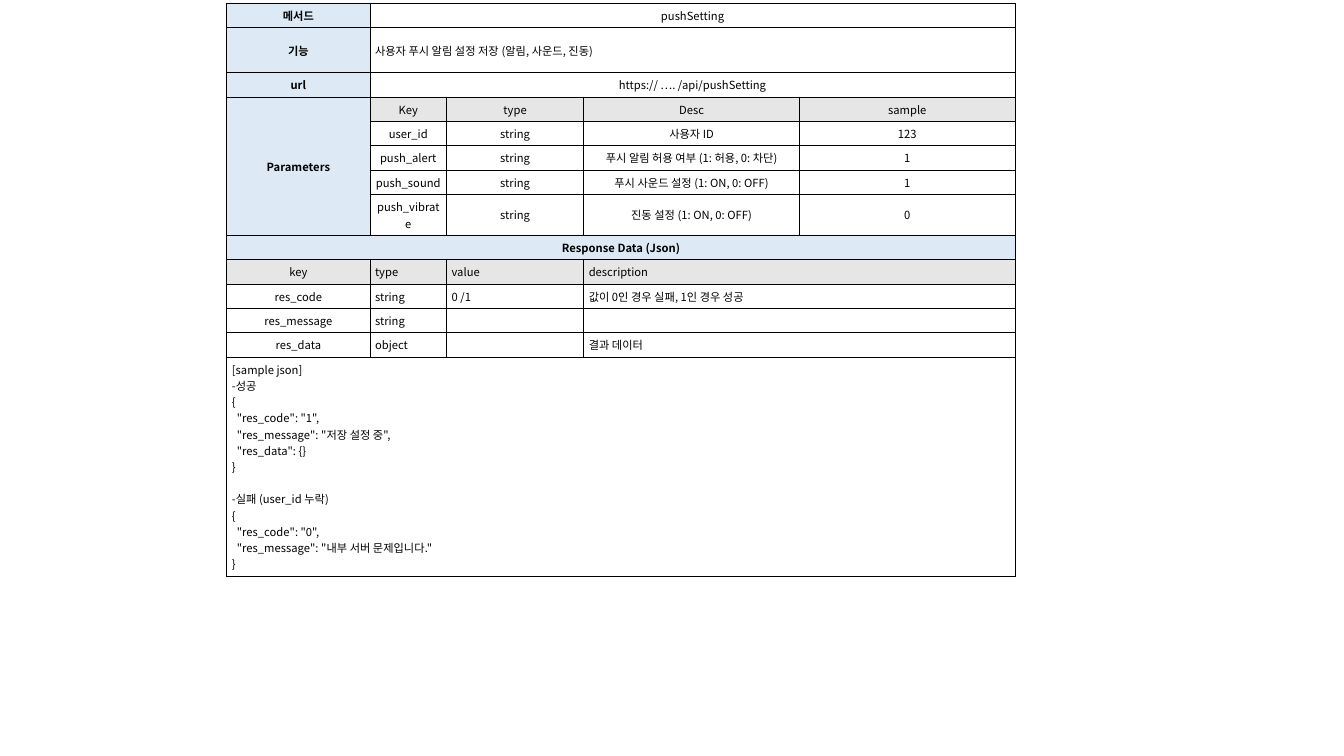
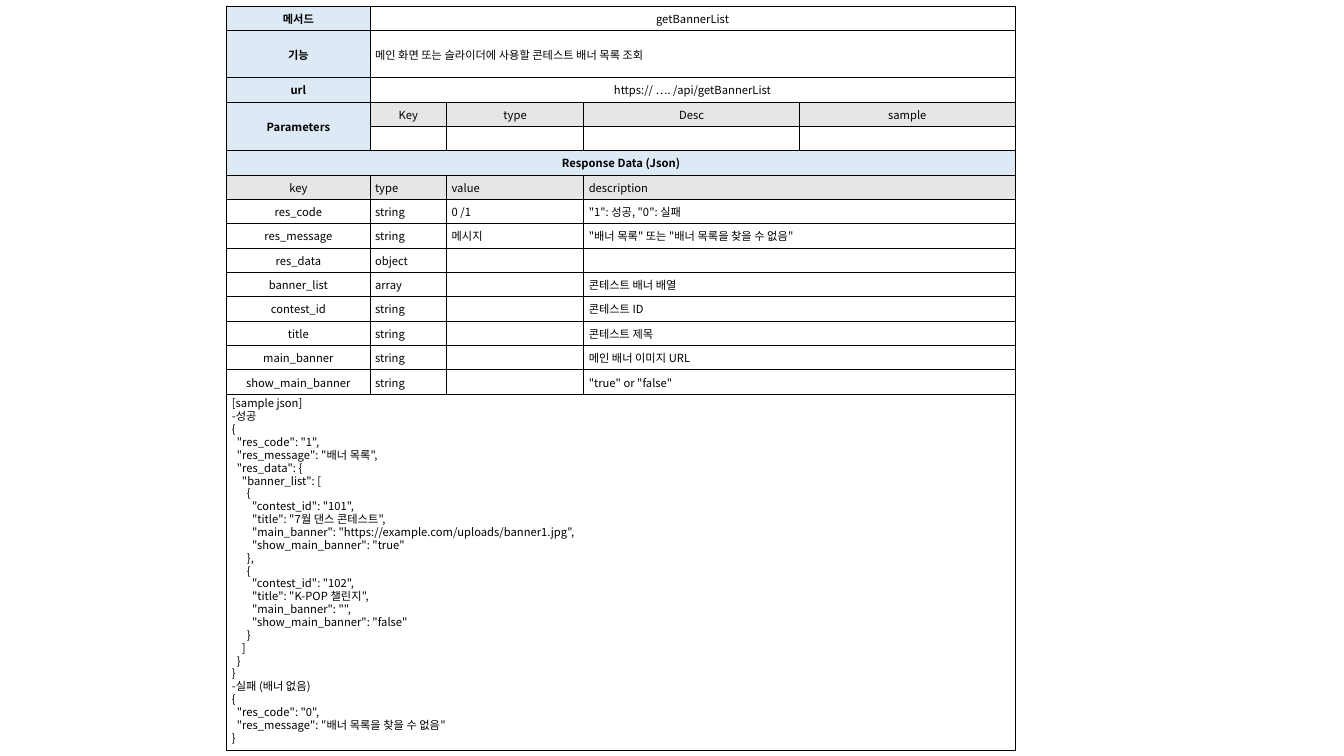
from lxml.etree import SubElement
from pptx import Presentation
from pptx.dml.color import RGBColor
from pptx.enum.text import MSO_ANCHOR as Anchor, PP_ALIGN as Align
from pptx.oxml import parse_xml
from pptx.oxml.ns import nsdecls, qn
from pptx.util import Inches, Pt

# Shared style
BLACK = RGBColor(0x00, 0x00, 0x00)
WHITE = RGBColor(0xFF, 0xFF, 0xFF)
LABEL_BLUE = RGBColor(0xDD, 0xEA, 0xF6)
HEADING_GRAY = RGBColor(0xE7, 0xE6, 0xE6)
FONT = "Noto Sans CJK KR"
FONT_SIZE = Pt(8)
BORDER = Pt(0.75)
NORMAL_PITCH = Pt(11.6)
TIGHT_PITCH = Pt(9.2)

# Grid, in inches
SHEET_LEFT = 2.25
COLUMNS = (1.42, 0.76, 1.36, 2.14, 2.14)
ROW = 0.24
SIDE_INSET, END_INSET = 0.05, 0.04


class ApiDeck:
    """Builds one API description sheet per slide."""

    def __init__(self):
        self.deck = Presentation()
        self.deck.slide_width, self.deck.slide_height = Inches(13.33), Inches(7.5)

    def sheet(self, top, row_heights):
        """Start a slide with an empty bordered grid."""
        slide = self.deck.slides.add_slide(self.deck.slide_layouts[6])
        frame = slide.shapes.add_table(
            len(row_heights), len(COLUMNS), Inches(SHEET_LEFT), Inches(top),
            Inches(sum(COLUMNS)), Inches(sum(row_heights)))
        self.table = frame.table
        self.table.first_row = self.table.horz_banding = False
        for column, width in zip(self.table.columns, COLUMNS):
            column.width = Inches(width)
        for row, height in zip(self.table.rows, row_heights):
            row.height = Inches(height)
        for cell in self.table.iter_cells():
            self.dress(cell)

    def dress(self, cell):
        """Give a blank cell its fill, borders, insets and text size."""
        cell.fill.solid()
        cell.fill.fore_color.rgb = WHITE
        cell.vertical_anchor = Anchor.MIDDLE
        cell.margin_left = cell.margin_right = Inches(SIDE_INSET)
        cell.margin_top = cell.margin_bottom = Inches(END_INSET)
        properties = cell._tc.get_or_add_tcPr()
        for position, side in enumerate("LRTB"):
            properties.insert(position, parse_xml(
                f'<a:ln{side} {nsdecls("a")} w="{BORDER}"><a:solidFill>'
                f'<a:srgbClr val="{BLACK}"/></a:solidFill></a:ln{side}>'))
        SubElement(cell.text_frame.paragraphs[0]._p, qn("a:endParaRPr"),
                   sz=str(int(FONT_SIZE.pt * 100)))

    def cell(self, row, column, text, fill=WHITE, bold=False,
             align=Align.CENTER, rows=1, columns=1):
        """Write a cell that spans the given rows and columns."""
        cell = self.table.cell(row, column)
        if rows * columns > 1:
            cell.merge(self.table.cell(row + rows - 1, column + columns - 1))
        cell.fill.fore_color.rgb = fill
        if text:
            cell.text_frame.text = text
        for paragraph in cell.text_frame.paragraphs:
            paragraph.alignment = align
            for run in paragraph.runs:
                font = run.font
                font.name, font.size, font.bold = FONT, FONT_SIZE, bold
                font.color.rgb = BLACK
                SubElement(run._r.get_or_add_rPr(), qn("a:ea"), typeface=FONT)
        return cell

    def label(self, row, text, **span):
        self.cell(row, 0, text, LABEL_BLUE, bold=True, **span)

    def parameter(self, row, values, fill=WHITE):
        for column, value in enumerate(values, start=1):
            self.cell(row, column, value, fill)

    def response(self, row, values, fill=WHITE):
        key, kind, value, description = values
        self.cell(row, 0, key, fill)
        self.cell(row, 1, kind, fill, align=Align.LEFT)
        self.cell(row, 2, value, fill, align=Align.LEFT)
        self.cell(row, 3, description, fill, align=Align.LEFT, columns=2)

    def sample(self, row, success, failure, pitch, gap):
        """Write the sample messages with a fixed line pitch."""
        cell = self.cell(row, 0, f"[sample json]\n{success}\n{failure}",
                         align=Align.LEFT, columns=5)
        cell.vertical_anchor = Anchor.TOP
        paragraphs = cell.text_frame.paragraphs
        for paragraph in paragraphs:
            paragraph.line_spacing = pitch
        first_failure = 1 + len(success.splitlines())
        paragraphs[first_failure].space_before = gap

    def describe(self, method, purpose, parameters, responses, success, failure,
                 top, purpose_height, pitch=NORMAL_PITCH, gap=Pt(0)):
        """Lay out a whole API sheet from its content."""
        body_rows = len(parameters) + len(responses) + 4
        sample_lines = 1 + len(success.splitlines()) + len(failure.splitlines())
        sample_height = (sample_lines * pitch + gap) / Inches(1) + 2 * END_INSET
        self.sheet(top, [ROW, purpose_height] + [ROW] * body_rows + [sample_height])

        # Method summary
        summary = (("메서드", method, Align.CENTER),
                   ("기능", purpose, Align.LEFT),
                   ("url", f"https:// …. /api/{method}", Align.CENTER))
        for row, (name, text, align) in enumerate(summary):
            self.label(row, name)
            self.cell(row, 1, text, align=align, columns=4)

        # Request parameters
        row = len(summary)
        self.label(row, "Parameters", rows=len(parameters) + 1)
        self.parameter(row, ("Key", "type", "Desc", "sample"), HEADING_GRAY)
        for row, values in enumerate(parameters, start=row + 1):
            self.parameter(row, values)

        # Response fields
        self.label(row + 1, "Response Data (Json)", columns=5)
        row += 2
        self.response(row, ("key", "type", "value", "description"), HEADING_GRAY)
        for row, values in enumerate(responses, start=row + 1):
            self.response(row, values)

        # Sample messages
        self.sample(row + 1, success, failure, pitch, gap)


PUSH_SUCCESS = """-성공
{
  "res_code": "1",
  "res_message": "저장 설정 중",
  "res_data": {}
}"""
PUSH_FAILURE = """-실패 (user_id 누락)
{
  "res_code": "0",
  "res_message": "내부 서버 문제입니다."
}"""
BANNER_SUCCESS = """-성공
{
  "res_code": "1",
  "res_message": "배너 목록",
  "res_data": {
    "banner_list": [
      {
        "contest_id": "101",
        "title": "7월 댄스 콘테스트",
        "main_banner": "https://example.com/uploads/banner1.jpg",
        "show_main_banner": "true"
      },
      {
        "contest_id": "102",
        "title": "K-POP 챌린지",
        "main_banner": "",
        "show_main_banner": "false"
      }
    ]
  }
}"""
BANNER_FAILURE = """-실패 (배너 없음)
{
  "res_code": "0",
  "res_message": "배너 목록을 찾을 수 없음"
}"""


def main():
    api = ApiDeck()

    # Push settings
    api.describe(
        "pushSetting", "사용자 푸시 알림 설정 저장 (알림, 사운드, 진동)",
        parameters=(
            ("user_id", "string", "사용자 ID", "123"),
            ("push_alert", "string", "푸시 알림 허용 여부 (1: 허용, 0: 차단)", "1"),
            ("push_sound", "string", "푸시 사운드 설정 (1: ON, 0: OFF)", "1"),
            ("push_vibrate", "string", "진동 설정 (1: ON, 0: OFF)", "0")),
        responses=(
            ("res_code", "string", "0 /1", "값이 0인 경우 실패, 1인 경우 성공"),
            ("res_message", "string", "", ""),
            ("res_data", "object", "", "결과 데이터")),
        success=PUSH_SUCCESS, failure=PUSH_FAILURE,
        top=0.03, purpose_height=0.45, gap=NORMAL_PITCH)

    # Banner list, with its long sample set tighter to stay on the slide
    api.describe(
        "getBannerList", "메인 화면 또는 슬라이더에 사용할 콘테스트 배너 목록 조회",
        parameters=(("", "", "", ""),),
        responses=(
            ("res_code", "string", "0 /1", '"1": 성공, "0": 실패'),
            ("res_message", "string", "메시지",
             '"배너 목록" 또는 "배너 목록을 찾을 수 없음"'),
            ("res_data", "object", "", ""),
            ("banner_list", "array", "", "콘테스트 배너 배열"),
            ("contest_id", "string", "", "콘테스트 ID"),
            ("title", "string", "", "콘테스트 제목"),
            ("main_banner", "string", "", "메인 배너 이미지 URL"),
            ("show_main_banner", "string", "", '"true" or "false"')),
        success=BANNER_SUCCESS, failure=BANNER_FAILURE,
        top=0.06, purpose_height=0.47, pitch=TIGHT_PITCH)

    api.deck.save("out.pptx")


if __name__ == "__main__":
    main()
